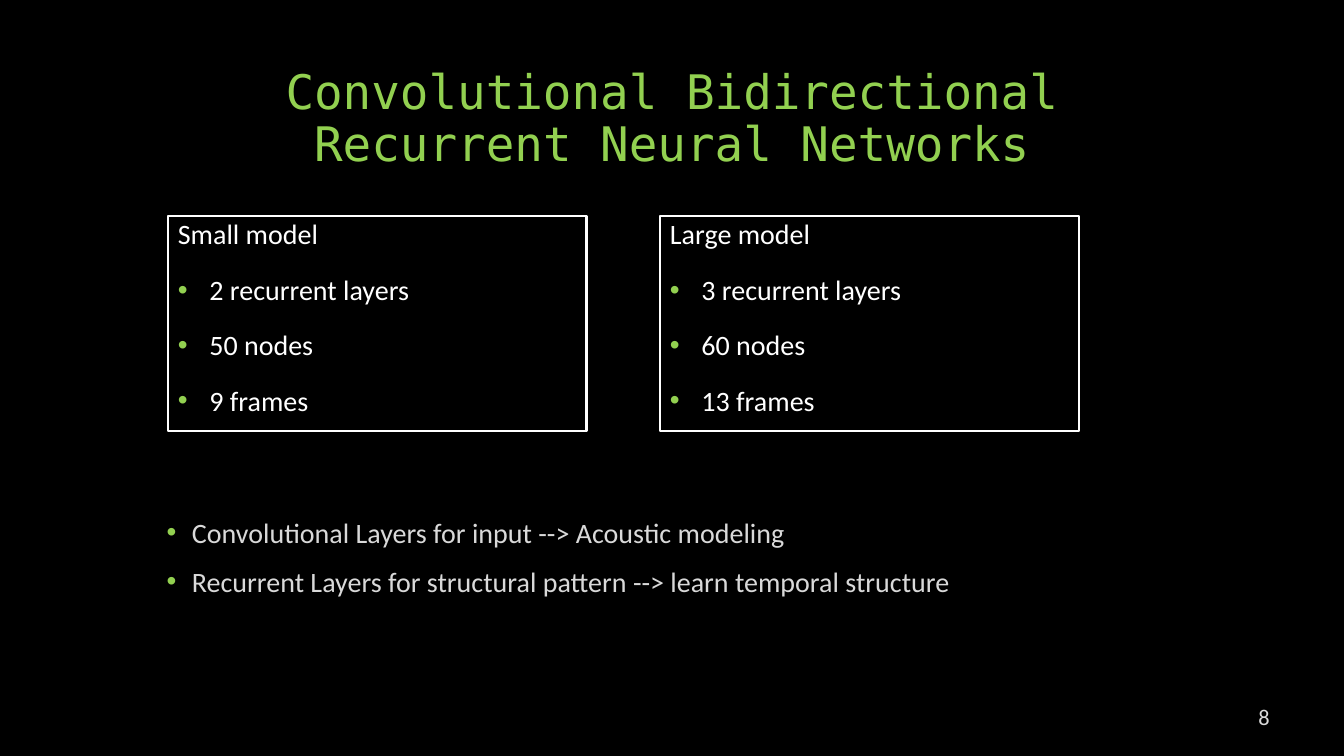
from lxml import etree
from pptx import Presentation
from pptx.dml.color import RGBColor
from pptx.enum.shapes import MSO_SHAPE
from pptx.enum.text import MSO_ANCHOR, PP_ALIGN
from pptx.oxml.ns import qn
from pptx.util import Pt

RECTANGLE = MSO_SHAPE.RECTANGLE
TOP, MIDDLE, BOTTOM = MSO_ANCHOR.TOP, MSO_ANCHOR.MIDDLE, MSO_ANCHOR.BOTTOM
LEFT, CENTER, RIGHT = PP_ALIGN.LEFT, PP_ALIGN.CENTER, PP_ALIGN.RIGHT

BLACK, WHITE, GREEN, GRAY = "000000", "FFFFFF", "92D050", "D9D9D9"
BODY_FONT, TITLE_FONT = "Calibri", "DejaVu Sans Mono"

TITLE = "Convolutional Bidirectional Recurrent Neural Networks"
MODELS = [
    ("Small model", ["2 recurrent layers", "50 nodes", "9 frames"]),
    ("Large model", ["3 recurrent layers", "60 nodes", "13 frames"]),
]
ROLES = [
    "Convolutional Layers for input --> Acoustic modeling",
    "Recurrent Layers for structural pattern --> learn temporal structure",
]
SLIDE_NUMBER = "8"

MODEL_LEFT, MODEL_TOP, MODEL_WIDTH, MODEL_HEIGHT = 120, 154, 299, 154
MODEL_STEP = 351.5


def color(hex_text):
    return RGBColor.from_string(hex_text)


def add_bullet(paragraph, indent):
    properties = paragraph._p.get_or_add_pPr()
    properties.set("marL", str(Pt(indent)))
    properties.set("indent", str(-Pt(indent)))
    bullet_color = etree.SubElement(properties, qn("a:buClr"))
    etree.SubElement(bullet_color, qn("a:srgbClr"), val=GREEN)
    etree.SubElement(properties, qn("a:buFont"), typeface="Arial")
    etree.SubElement(properties, qn("a:buChar"), char="•")


def write(shape, lines, size, text_color, font=BODY_FONT, align=LEFT,
          anchor=TOP, spacing=1.0, indent=0, first_bullet=0):
    """Fill a shape with one paragraph per line, bulleted from first_bullet on."""
    frame = shape.text_frame
    frame.word_wrap = True
    frame.vertical_anchor = anchor
    frame.text = "\n".join(lines)
    for index, paragraph in enumerate(frame.paragraphs):
        paragraph.alignment = align
        paragraph.line_spacing = spacing
        if index:
            paragraph.space_before = Pt(18)
        if indent and index >= first_bullet:
            add_bullet(paragraph, indent)
        for run in paragraph.runs:
            run.font.name = font
            run.font.size = Pt(size)
            run.font.color.rgb = color(text_color)


def add_text(slide, box, lines, size, text_color, **style):
    shape = slide.shapes.add_textbox(*map(Pt, box))
    write(shape, lines, size, text_color, **style)


def add_model(slide, left, name, features):
    shape = slide.shapes.add_shape(
        RECTANGLE, Pt(left), Pt(MODEL_TOP), Pt(MODEL_WIDTH), Pt(MODEL_HEIGHT))
    shape.shadow.inherit = False
    shape.fill.solid()
    shape.fill.fore_color.rgb = color(BLACK)
    shape.line.color.rgb = color(WHITE)
    shape.line.width = Pt(1.5)
    write(shape, [name] + features, 20, WHITE, spacing=0.9, indent=22.5,
          first_bullet=1)


def main():
    presentation = Presentation()
    presentation.slide_width, presentation.slide_height = Pt(960), Pt(540)
    slide = presentation.slides.add_slide(presentation.slide_layouts[6])
    slide.background.fill.solid()
    slide.background.fill.fore_color.rgb = color(BLACK)

    add_text(slide, (120, 36, 720, 90), [TITLE], 34, GREEN, font=TITLE_FONT,
             align=CENTER, anchor=BOTTOM, spacing=0.9)
    for index, (name, features) in enumerate(MODELS):
        add_model(slide, MODEL_LEFT + index * MODEL_STEP, name, features)
    add_text(slide, (112, 371.5, 796, 90), ROLES, 20, GRAY, spacing=0.7,
             indent=18)
    add_text(slide, (848, 502, 66, 20), [SLIDE_NUMBER], 16, GRAY, align=RIGHT,
             anchor=MIDDLE)
    presentation.save("out.pptx")


if __name__ == "__main__":
    main()
